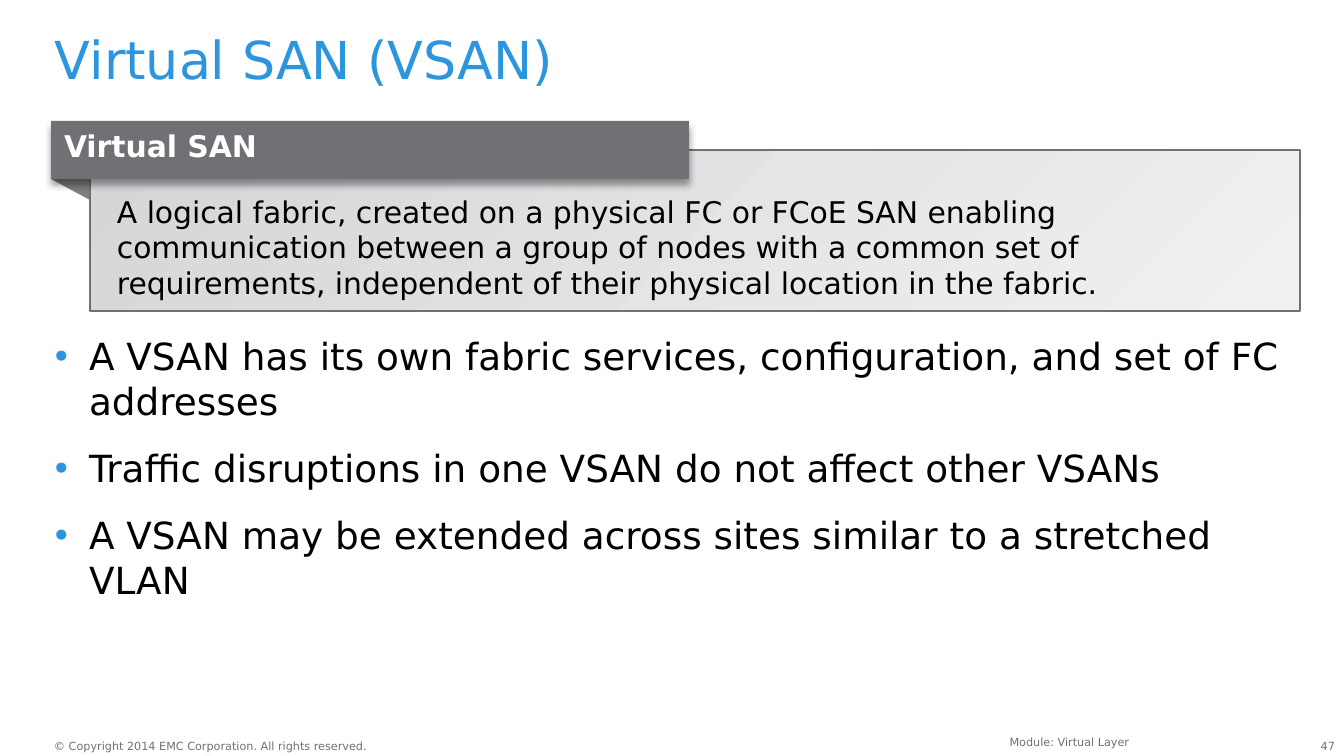
from lxml.etree import SubElement
from pptx import Presentation
from pptx.dml.color import RGBColor
from pptx.enum.shapes import MSO_SHAPE
from pptx.enum.text import MSO_ANCHOR, MSO_AUTO_SIZE, PP_ALIGN
from pptx.oxml.ns import qn
from pptx.util import Emu, Pt

COLORS = {
    "accent": "2C95DD",
    "gray": "717074",
    "fold": "808080",
    "panel_dark": "D4D6D8",
    "panel_light": "F1F1F2",
    "text": "000000",
    "white": "FFFFFF",
}
FONT = "DejaVu Sans"


def px(length):
    return Emu(round(length * 9144000 / 1344))


def rgb(name):
    return RGBColor.from_string(COLORS[name])


class SlideBuilder:
    """Holds the style and the current slide, and adds each kind of element."""

    def __init__(self, deck):
        self.slide = deck.slides.add_slide(deck.slide_layouts[1])

    def place(self, shape, box):
        shape.left, shape.top, shape.width, shape.height = map(px, box)

    def style(self, paragraph, size, color, bold=False):
        font = paragraph.font
        font.name, font.size, font.bold = FONT, Pt(size), bold
        font.color.rgb = rgb(color)

    def frame(self, shape, insets, anchor=MSO_ANCHOR.TOP, wrap=True):
        frame = shape.text_frame
        frame.auto_size = MSO_AUTO_SIZE.NONE
        frame.word_wrap = wrap
        frame.vertical_anchor = anchor
        (frame.margin_left, frame.margin_top,
         frame.margin_right, frame.margin_bottom) = map(px, insets)
        return frame

    def set_text(self, frame, text, size, color, align=PP_ALIGN.LEFT, bold=False):
        paragraph = frame.paragraphs[0]
        paragraph.text = text
        paragraph.alignment = align
        self.style(paragraph, size, color, bold)
        return paragraph

    def title(self, text, box):
        title = self.slide.shapes.title
        self.place(title, box)
        heading = self.set_text(self.frame(title, (0, 0, 0, 0)), text, 28, "accent")
        heading.line_spacing = 0.9

    def bullets(self, points, box):
        body = self.slide.placeholders[1]
        self.place(body, box)
        frame = self.frame(body, (0, 0, 0, 0))
        frame.text = "\n".join(points)
        for index, paragraph in enumerate(frame.paragraphs):
            properties = paragraph._p.get_or_add_pPr()
            properties.set("marL", str(px(34)))
            properties.set("indent", str(-px(34)))
            bullet_color = SubElement(properties, qn("a:buClr"))
            SubElement(bullet_color, qn("a:srgbClr"), val=COLORS["accent"])
            SubElement(properties, qn("a:buChar"), char="•")
            paragraph.space_before = Pt(12 if index else 0)
            self.style(paragraph, 20, "text")

    def note(self, text, box, align=PP_ALIGN.LEFT, insets=(0, 0, 0, 0), wrap=True):
        note = self.slide.shapes.add_textbox(*map(px, box))
        self.set_text(self.frame(note, insets, wrap=wrap), text, 6, "gray", align)

    def fold(self, corners):
        start, *others = [(px(x), px(y)) for x, y in corners]
        outline = self.slide.shapes.build_freeform(*start)
        outline.add_line_segments(others)
        fold = outline.convert_to_shape()
        fold.shadow.inherit = False
        fold.fill.solid()
        fold.fill.fore_color.rgb = rgb("fold")
        fold.line.fill.background()

    def rectangle(self, box):
        rectangle = self.slide.shapes.add_shape(MSO_SHAPE.RECTANGLE, *map(px, box))
        rectangle.shadow.inherit = False
        return rectangle

    def panel(self, text, box):
        panel = self.rectangle(box)
        panel.fill.gradient()
        panel.fill.gradient_angle = 315
        for stop, color in zip(panel.fill.gradient_stops, ("panel_dark", "panel_light")):
            stop.color.rgb = rgb(color)
        panel.line.color.rgb = rgb("gray")
        panel.line.width = Pt(1)
        frame = self.frame(panel, (27, 40, 27, 7), MSO_ANCHOR.MIDDLE)
        self.set_text(frame, text, 16, "text")

    def banner(self, text, box):
        banner = self.rectangle(box)
        banner.fill.solid()
        banner.fill.fore_color.rgb = rgb("gray")
        banner.line.fill.background()
        effects = banner.element.spPr.find(qn("a:effectLst"))
        shadow = SubElement(effects, qn("a:outerShdw"), blurRad=str(Pt(4)),
                            dist=str(Pt(3)), dir="5400000", rotWithShape="0")
        shade = SubElement(shadow, qn("a:srgbClr"), val=COLORS["text"])
        SubElement(shade, qn("a:alpha"), val="40000")
        self.set_text(self.frame(banner, (13, 7, 13, 7)), text, 16, "white", bold=True)


def main():
    deck = Presentation()
    deck.slide_width, deck.slide_height = px(1344), px(756)
    builder = SlideBuilder(deck)
    builder.title("Virtual SAN (VSAN)", (55, 34, 1243, 67))
    builder.bullets([
        "A VSAN has its own fabric services, configuration, and set of FC addresses",
        "Traffic disruptions in one VSAN do not affect other VSANs",
        "A VSAN may be extended across sites similar to a stretched VLAN",
    ], (55, 333, 1243, 313))
    builder.note("47", (1293, 739, 42, 14), PP_ALIGN.RIGHT)
    builder.note("© Copyright 2014 EMC Corporation. All rights reserved.",
                 (54, 739, 318, 14), wrap=False)
    builder.note("Module: Virtual Layer", (380, 728, 762, 21), PP_ALIGN.RIGHT,
                 (13, 7, 13, 7))
    builder.fold([(51, 179), (90, 179), (90, 200)])
    builder.panel("A logical fabric, created on a physical FC or FCoE SAN enabling "
                  "communication between a group of nodes with a common set of "
                  "requirements, independent of their physical location in the fabric.",
                  (90, 150, 1210, 161))
    builder.banner("Virtual SAN", (51, 121, 638, 58))
    deck.save("out.pptx")


if __name__ == "__main__":
    main()
